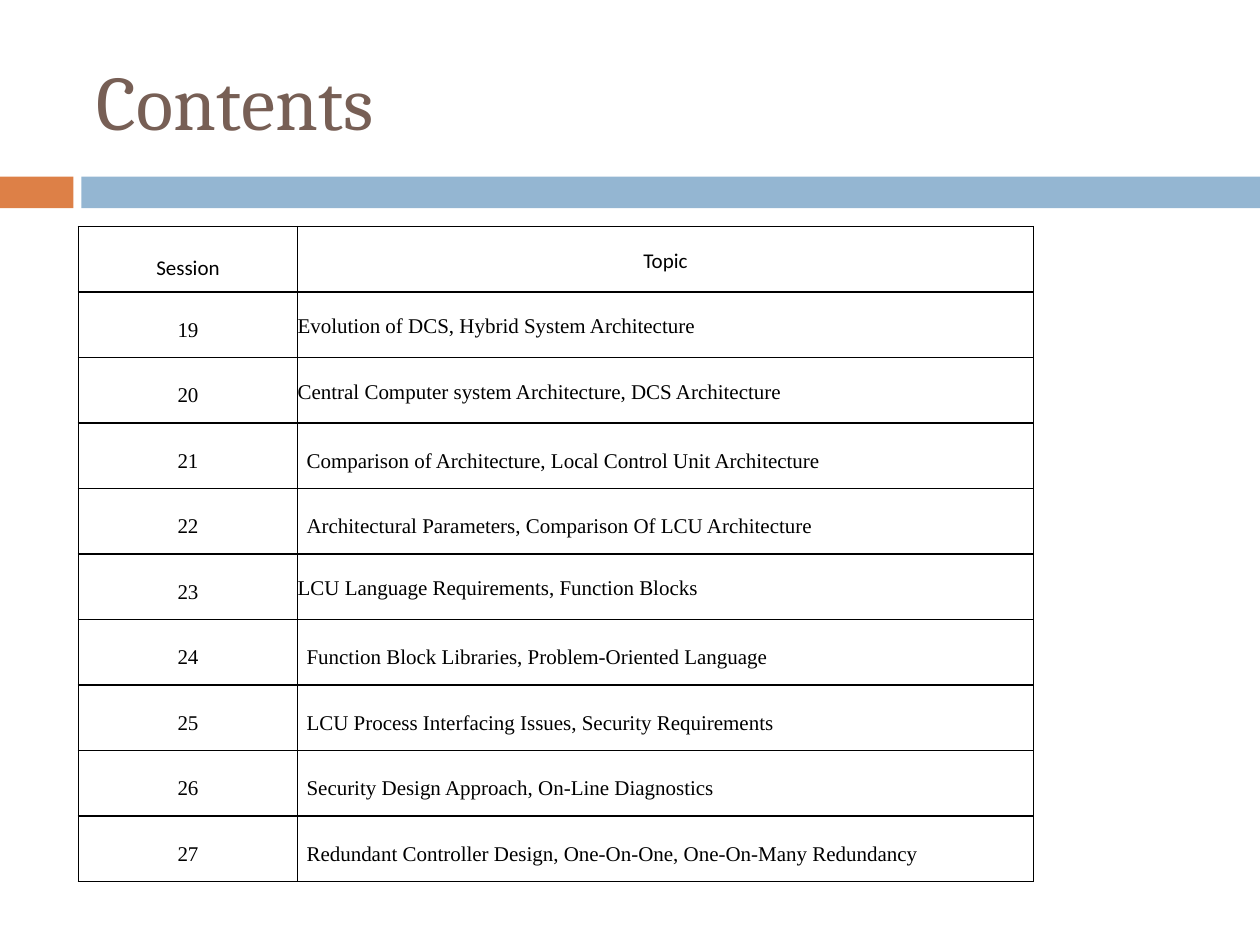
from lxml import etree
from pptx import Presentation
from pptx.dml.color import RGBColor
from pptx.enum.shapes import MSO_SHAPE
from pptx.enum.text import MSO_ANCHOR, PP_ALIGN
from pptx.oxml.ns import qn
from pptx.util import Cm, Pt

RECTANGLE = MSO_SHAPE.RECTANGLE
MIDDLE = MSO_ANCHOR.MIDDLE
LEFT, CENTER, JUSTIFY = PP_ALIGN.LEFT, PP_ALIGN.CENTER, PP_ALIGN.JUSTIFY

# Content
TITLE = "Contents"
HEADINGS = ("Session", "Topic")
FIRST_SESSION = 19
TOPICS = [  # topic, whether it is set in from the cell edge
    ("Evolution of DCS, Hybrid System Architecture", False),
    ("Central Computer system Architecture, DCS Architecture", False),
    ("Comparison of Architecture, Local Control Unit Architecture", True),
    ("Architectural Parameters, Comparison Of LCU Architecture", True),
    ("LCU Language Requirements, Function Blocks", False),
    ("Function Block Libraries, Problem-Oriented Language", True),
    ("LCU Process Interfacing Issues, Security Requirements", True),
    ("Security Design Approach, On-Line Diagnostics", True),
    ("Redundant Controller Design, One-On-One, One-On-Many Redundancy", True),
]

# Theme and measures (cm)
THEME = {
    "title_color": "775F55", "accent": "DD8047", "band": "94B6D2",
    "text": "000000", "paper": "FFFFFF",
    "title_font": "Cambria", "head_font": "Calibri",
    "body_font": "Times New Roman",
    "title_size": 44, "table_size": 12, "border": 1,
}
SLIDE_W, SLIDE_H = 25.4, 19.05
BAND_TOP, BAND_H = 3.56, 0.64
ACCENT_W, BAND_LEFT = 1.48, 1.64
TABLE_LEFT, TABLE_TOP = 1.58, 4.57
COLUMN_WIDTHS = (4.42, 14.83)
ROW_H = 1.32
HEAD_DROP, BODY_DROP, TOPIC_INSET = 0.28, 0.14, 0.18


def color(key):
    return RGBColor.from_string(THEME[key])


def write(paragraph, text, font, size, color_key):
    run = paragraph.add_run()
    run.text = text
    run.font.name = THEME[font]
    run.font.size = Pt(THEME[size])
    run.font.color.rgb = color(color_key)


def add_bar(slide, left, width, color_key):
    bar = slide.shapes.add_shape(
        RECTANGLE, Cm(left), Cm(BAND_TOP), Cm(width), Cm(BAND_H))
    bar.shadow.inherit = False
    bar.fill.solid()
    bar.fill.fore_color.rgb = color(color_key)
    bar.line.fill.background()


def add_borders(cell):
    properties = cell._tc.get_or_add_tcPr()
    for position, side in enumerate(("a:lnL", "a:lnR", "a:lnT", "a:lnB")):
        line = etree.Element(qn(side), w=str(Pt(THEME["border"])))
        fill = etree.SubElement(line, qn("a:solidFill"))
        etree.SubElement(fill, qn("a:srgbClr"), val=THEME["text"])
        properties.insert(position, line)


def fill_cell(cell, text, font, align, drop=0, inset=0):
    cell.fill.solid()
    cell.fill.fore_color.rgb = color("paper")
    add_borders(cell)
    cell.vertical_anchor = MIDDLE
    cell.margin_left, cell.margin_top = Cm(inset), Cm(drop)
    cell.margin_right = cell.margin_bottom = 0
    paragraph = cell.text_frame.paragraphs[0]
    paragraph.alignment = align
    paragraph.line_spacing = 1.15
    write(paragraph, text, font, "table_size", "text")


def add_title(slide):
    title = slide.shapes.title
    title.left, title.top = Cm(1.7), Cm(0.64)
    title.width, title.height = Cm(22.66), Cm(2.74)
    title.text_frame.vertical_anchor = MIDDLE
    paragraph = title.text_frame.paragraphs[0]
    paragraph.alignment = LEFT
    write(paragraph, TITLE, "title_font", "title_size", "title_color")


def add_sessions(slide):
    row_count = len(TOPICS) + 1
    table = slide.shapes.add_table(
        row_count, len(COLUMN_WIDTHS), Cm(TABLE_LEFT), Cm(TABLE_TOP),
        Cm(sum(COLUMN_WIDTHS)), Cm(ROW_H * row_count)).table
    table.horz_banding = False
    for column, width in zip(table.columns, COLUMN_WIDTHS):
        column.width = Cm(width)
    for row in table.rows:
        row.height = Cm(ROW_H)

    # Heading row
    for column, (heading, drop) in enumerate(zip(HEADINGS, (HEAD_DROP, 0))):
        fill_cell(table.cell(0, column), heading, "head_font", CENTER, drop)

    # One row per session
    for row, (topic, is_inset) in enumerate(TOPICS, start=1):
        session = str(FIRST_SESSION + row - 1)
        fill_cell(table.cell(row, 0), session, "body_font", CENTER, BODY_DROP)
        if is_inset:
            fill_cell(table.cell(row, 1), topic, "body_font", LEFT,
                      BODY_DROP, TOPIC_INSET)
        else:
            fill_cell(table.cell(row, 1), topic, "body_font", JUSTIFY)


def main():
    deck = Presentation()
    deck.slide_width, deck.slide_height = Cm(SLIDE_W), Cm(SLIDE_H)
    slide = deck.slides.add_slide(deck.slide_layouts[5])
    add_bar(slide, 0, ACCENT_W, "accent")
    add_bar(slide, BAND_LEFT, SLIDE_W - BAND_LEFT, "band")
    add_title(slide)
    add_sessions(slide)
    deck.save("out.pptx")


if __name__ == "__main__":
    main()
